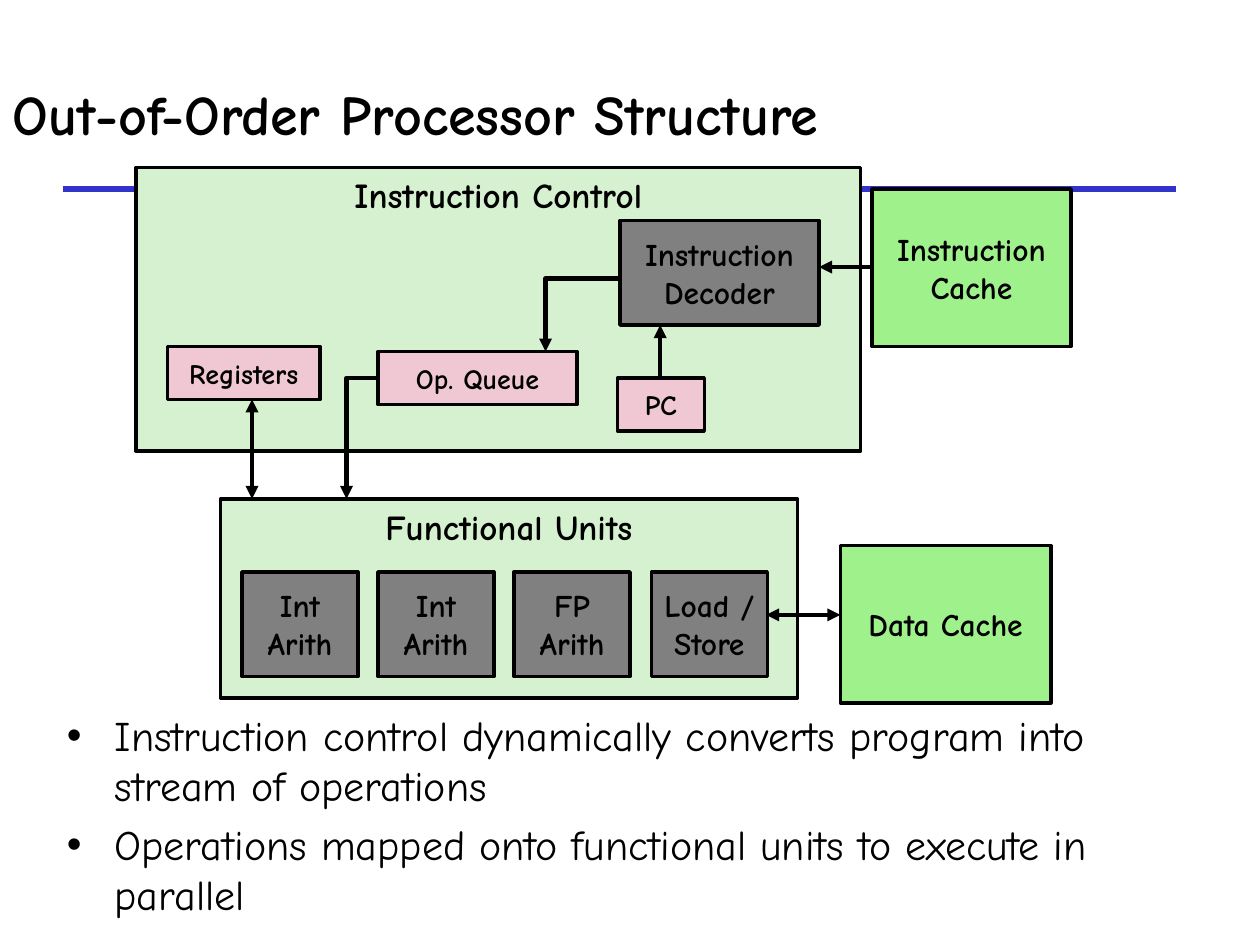
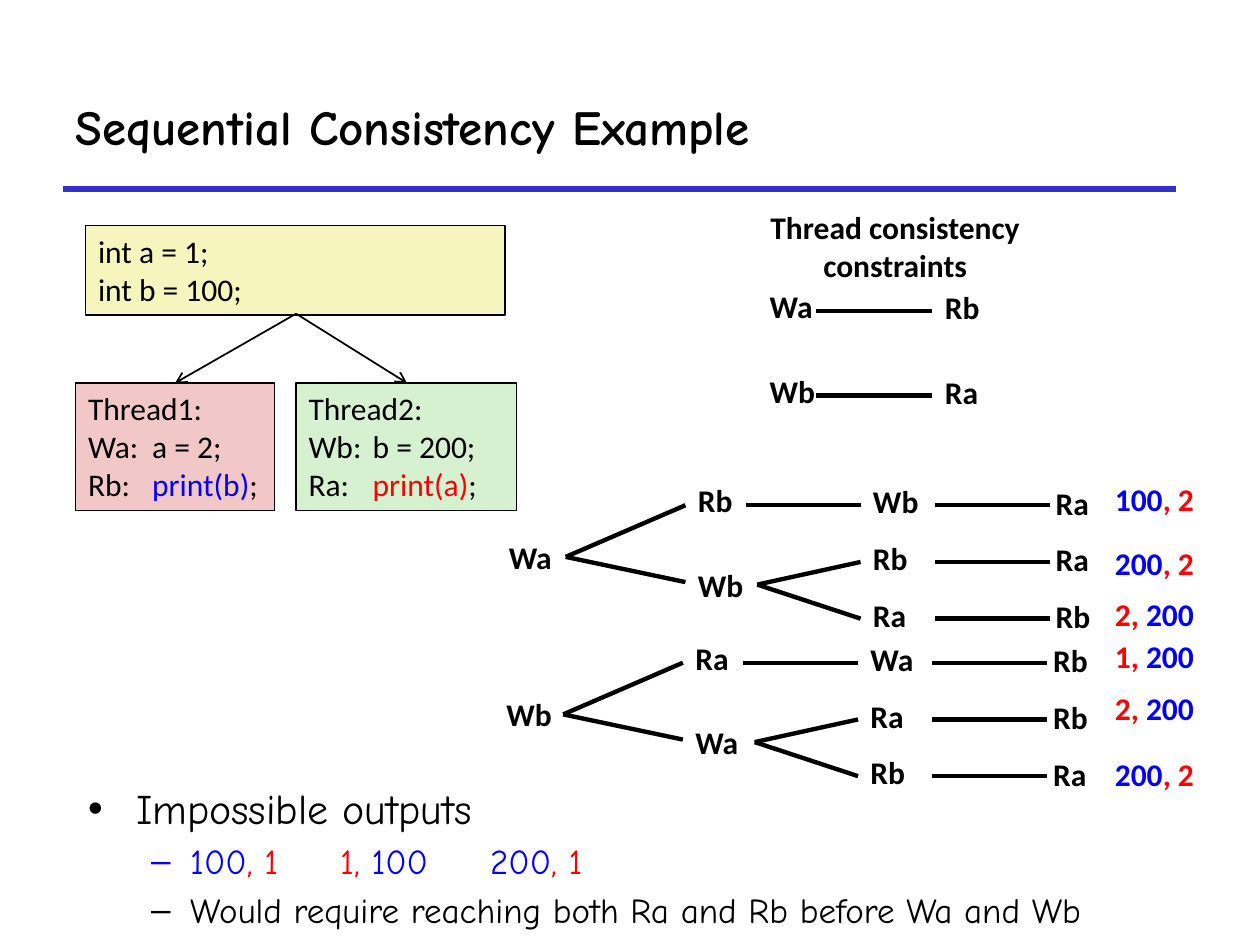
"""Build two lecture slides on processor structure and memory consistency."""
from dataclasses import dataclass
from typing import NamedTuple

from lxml import etree
from pptx import Presentation
from pptx.dml.color import RGBColor
from pptx.enum.shapes import MSO_CONNECTOR, MSO_SHAPE
from pptx.enum.text import MSO_ANCHOR, MSO_AUTO_SIZE, PP_ALIGN
from pptx.oxml.ns import qn
from pptx.util import Pt

RECT = MSO_SHAPE.RECTANGLE
STRAIGHT, ELBOW = MSO_CONNECTOR.STRAIGHT, MSO_CONNECTOR.ELBOW
TOP, MIDDLE = MSO_ANCHOR.TOP, MSO_ANCHOR.MIDDLE
LEFT, CENTER = PP_ALIGN.LEFT, PP_ALIGN.CENTER
NO_FIT, GROW = MSO_AUTO_SIZE.NONE, MSO_AUTO_SIZE.SHAPE_TO_FIT_TEXT

EMU_PER_PX = 9144
COMIC, CALIBRI = "Comic Neue", "Calibri"
BLACK, BLUE, RED, RULE = "000000", "0000FF", "FF0000", "3333CC"
PALE_GREEN, GREEN, GRAY = "D5F1CF", "9EF18B", "808080"
PINK, ROSE, YELLOW = "F0C8D3", "F1C7C7", "F6F5BD"
NODE_W = 62
CODE_TAB = 51
OUTPUT_TABS = (200, 319)


class Run(NamedTuple):
    """A piece of text in one colour."""
    text: str
    color: str = BLACK


Para = list[Run]


@dataclass
class Box:
    """A filled and outlined rectangle with text."""
    x: int
    y: int
    w: int
    h: int
    fill: str
    paras: list[Para]
    size: int = 18
    font: str = COMIC
    bold: bool = True
    weight: float = 2
    anchor: MSO_ANCHOR = MIDDLE
    align: PP_ALIGN = CENTER
    tabs: tuple[int, ...] = ()


@dataclass
class Link:
    """A line between two points with optional arrowheads."""
    x1: int
    y1: int
    x2: int
    y2: int
    head: str = ""
    tail: str = ""
    weight: float = 2.5
    color: str = BLACK
    bent: bool = False


@dataclass
class Bullet:
    """A list paragraph with its level."""
    runs: Para
    level: int = 0
    tabs: tuple[int, ...] = ()


class BulletStyle(NamedTuple):
    """Bullet sign, indents and text size of a list level."""
    char: str
    margin: int
    hang: int
    size: int


BULLET_STYLES = (BulletStyle("•", 38, 38, 24), BulletStyle("–", 81, 31, 20))


def px(n: int) -> int:
    """Turn px into EMU."""
    return n * EMU_PER_PX


def rgb(color: str) -> RGBColor:
    """Turn a hex string into a colour."""
    return RGBColor.from_string(color)


def lines(*texts: str) -> list[Para]:
    """Make one black paragraph of each text."""
    return [[Run(t)] for t in texts]


def add_runs(p, runs: Para, size: int, font: str, bold: bool) -> None:
    """Write coloured runs into a paragraph."""
    fmt = {"size": Pt(size), "name": font, "bold": bold}
    for run in runs:
        r = p.add_run()
        r.text = run.text
        for key, value in fmt.items():
            setattr(r.font, key, value)
        r.font.color.rgb = rgb(run.color)


def add_tabs(p, stops: tuple[int, ...]) -> None:
    """Give a paragraph left tab stops."""
    if stops:
        tab_list = etree.SubElement(p._p.get_or_add_pPr(), qn("a:tabLst"))
        for stop in stops:
            etree.SubElement(tab_list, qn("a:tab"), pos=str(px(stop)), algn="l")


def paragraphs(tf, count: int) -> list:
    """Return the given number of paragraphs of a text frame."""
    return [tf.paragraphs[0]] + [tf.add_paragraph() for _ in range(count - 1)]


def set_frame(tf, wrap: bool, fit: MSO_AUTO_SIZE, anchor: MSO_ANCHOR) -> None:
    """Set wrapping, fitting and anchoring of a text frame."""
    fmt = {"word_wrap": wrap, "auto_size": fit, "vertical_anchor": anchor}
    for key, value in fmt.items():
        setattr(tf, key, value)


def place(sp, x: int, y: int, w: int, h: int) -> None:
    """Move and size a shape."""
    for key, value in {"left": x, "top": y, "width": w, "height": h}.items():
        setattr(sp, key, px(value))


def draw_box(s, box: Box) -> None:
    """Draw a box with its text."""
    sp = s.shapes.add_shape(RECT, *map(px, (box.x, box.y, box.w, box.h)))
    sp.shadow.inherit = False
    sp.fill.solid()
    sp.fill.fore_color.rgb = rgb(box.fill)
    sp.line.color.rgb = rgb(BLACK)
    sp.line.width = Pt(box.weight)
    set_frame(sp.text_frame, True, NO_FIT, box.anchor)
    for p, runs in zip(paragraphs(sp.text_frame, len(box.paras)), box.paras):
        p.alignment = box.align
        add_tabs(p, box.tabs)
        add_runs(p, runs, box.size, box.font, box.bold)


def draw_label(s, x: int, y: int, w: int, paras: list[Para], h: int = 40,
               align: PP_ALIGN = LEFT) -> None:
    """Draw a bold unwrapped label."""
    tf = s.shapes.add_textbox(px(x), px(y), px(w), px(h)).text_frame
    set_frame(tf, False, GROW, TOP)
    for p, runs in zip(paragraphs(tf, len(paras)), paras):
        p.alignment = align
        add_runs(p, runs, 18, CALIBRI, True)


def draw_link(s, link: Link) -> None:
    """Draw a line, elbow or arrow."""
    ends = map(px, (link.x1, link.y1, link.x2, link.y2))
    sp = s.shapes.add_connector(ELBOW if link.bent else STRAIGHT, *ends)
    sp.line.color.rgb = rgb(link.color)
    sp.line.width = Pt(link.weight)
    pr = sp._element.spPr
    if link.bent:
        pr.find(qn("a:prstGeom")).set("prst", "bentConnector2")
        xfrm = pr.find(qn("a:xfrm"))
        xfrm.attrib.pop("flipH", None)
        xfrm.set("rot", "10800000")
        xfrm.set("flipV", "1")
    for tag, kind in (("a:headEnd", link.head), ("a:tailEnd", link.tail)):
        if kind:
            etree.SubElement(sp.line._get_or_add_ln(), qn(tag), type=kind)
    etree.SubElement(pr, qn("a:effectLst"))


def fill_body(s, at: tuple[int, int, int, int], bullets: list[Bullet]) -> None:
    """Write the bulleted list into the body placeholder."""
    sp = s.placeholders[1]
    place(sp, *at)
    set_frame(sp.text_frame, True, NO_FIT, TOP)
    for i, (p, b) in enumerate(zip(paragraphs(sp.text_frame, len(bullets)), bullets)):
        style = BULLET_STYLES[b.level]
        p.level = b.level
        p.space_before = Pt(0.2 * style.size if i else 0)
        pPr = p._p.get_or_add_pPr()
        pPr.set("marL", str(px(style.margin)))
        pPr.set("indent", str(-px(style.hang)))
        etree.SubElement(pPr, qn("a:buChar"), char=style.char)
        add_tabs(p, b.tabs)
        add_runs(p, b.runs, style.size, COMIC, False)


def new_slide(prs, title: str, size: int, at: tuple[int, int, int, int]):
    """Add a slide with its title and rule."""
    s = prs.slides.add_slide(prs.slide_layouts[1])
    sp = s.shapes.title
    place(sp, *at)
    set_frame(sp.text_frame, True, NO_FIT, MIDDLE)
    p = sp.text_frame.paragraphs[0]
    p.alignment = LEFT
    add_runs(p, [Run(title)], size, COMIC, True)
    draw_link(s, Link(50, 150, 933, 150, weight=3, color=RULE))
    return s


def output_runs(text: str) -> Para:
    """Colour a printed pair, the value of b blue and that of a red."""
    first, second = text.split(", ")
    if len(first) == 3:
        return [Run(first, BLUE), Run(", " + second, RED)]
    return [Run(first + ", ", RED), Run(second, BLUE)]


def draw_tree(s, dx: int, dy: int, root: str, mids: tuple[str, str],
              thirds: str, lasts: str) -> None:
    """Draw one tree of the possible interleavings."""
    nodes = [(394, 422, root), (544, 377, mids[0]), (544, 444, mids[1])]
    edges = [(449, 442, 544, 401), (449, 442, 544, 462), (592, 401, 683, 401),
             (601, 464, 683, 446), (601, 464, 683, 491)]
    for i, (third, last) in enumerate(zip(thirds.split(), lasts.split())):
        y = 378 + 45 * i
        nodes += [(683, y, third), (828, y + 1, last)]
        edges.append((742, y + 23, 833, y + 23))
    for x, y, name in nodes:
        draw_label(s, x + dx, y + dy, NODE_W, lines(name))
    for x1, y1, x2, y2 in edges:
        draw_link(s, Link(x1 + dx, y1 + dy, x2 + dx, y2 + dy))


def processor_slide(prs) -> None:
    """Build the processor structure slide."""
    s = new_slide(prs, "Out-of-Order Processor Structure", 32, (0, 48, 1000, 83))
    fill_body(s, (43, 558, 865, 134), [Bullet(runs) for runs in lines(
        "Instruction control dynamically converts program into stream of operations",
        "Operations mapped onto functional units to execute in parallel")])
    units = (("Int", "Arith"), ("Int", "Arith"), ("FP", "Arith"), ("Load /", "Store"))
    boxes = [
        Box(175, 396, 458, 158, PALE_GREEN, lines("Functional Units"), 20, anchor=TOP),
        *(Box(192 + 325 * i // 3, 454, 92, 83, GRAY, lines(*unit))
          for i, unit in enumerate(units)),
        Box(108, 133, 575, 225, PALE_GREEN, lines("Instruction Control"), 20, anchor=TOP),
        Box(133, 275, 121, 42, PINK, lines("Registers"), 16),
        Box(492, 175, 158, 83, GRAY, lines("Instruction Decoder")),
        Box(300, 279, 158, 42, PINK, lines("Op. Queue"), 16),
        Box(490, 300, 69, 42, PINK, lines("PC"), 16),
        Box(667, 433, 167, 125, GREEN, lines("Data Cache")),
        Box(692, 150, 158, 125, GREEN, lines("Instruction", "Cache")),
    ]
    for box in boxes:
        draw_box(s, box)
    tri = "triangle"
    for link in (Link(667, 488, 608, 488, tri, tri),
                 Link(650, 212, 692, 212, tri),
                 Link(300, 300, 275, 396, tail=tri, bent=True),
                 Link(200, 317, 200, 396, tri, tri),
                 Link(492, 221, 433, 279, tail=tri, bent=True),
                 Link(524, 258, 524, 300, tri)):
        draw_link(s, link)


def consistency_slide(prs) -> None:
    """Build the sequential consistency slide."""
    s = new_slide(prs, "Sequential Consistency Example", 28, (50, 50, 883, 100))
    impossible = [*output_runs("100, 1"), Run("\t"), *output_runs("1, 100"),
                  Run("\t"), *output_runs("200, 1")]
    fill_body(s, (60, 616, 940, 84), [
        Bullet([Run("Impossible outputs")]),
        Bullet(impossible, 1, OUTPUT_TABS),
        Bullet([Run("Would require reaching both Ra and Rb before Wa and Wb")], 1)])
    draw_tree(s, 0, 0, "Wa", ("Rb", "Wb"), "Wb Rb Ra", "Ra Ra Rb")
    draw_tree(s, -2, 125, "Wb", ("Ra", "Wa"), "Wa Ra Rb", "Rb Rb Ra")
    outputs = {376: "100, 2", 427: "200, 2", 467: "2, 200",
               501: "1, 200", 542: "2, 200", 594: "200, 2"}
    for y, text in outputs.items():
        draw_label(s, 875, y, 84, [output_runs(text)])
    draw_label(s, 601, 160, 219, lines("Thread consistency", "constraints"), 71, CENTER)
    for y, before, after in ((223, "Wa", "Rb"), (290, "Wb", "Ra")):
        draw_label(s, 601, y, NODE_W, lines(before))
        draw_label(s, 740, y + 1, NODE_W, lines(after))
        draw_link(s, Link(648, y + 24, 740, y + 24))
    code = {"font": CALIBRI, "bold": False, "weight": 0.75, "anchor": TOP,
            "align": LEFT, "tabs": (CODE_TAB,)}
    thread1 = [*lines("Thread1:", "Wa:\ta = 2;"),
               [Run("Rb:\t"), Run("print(b)", BLUE), Run(";")]]
    thread2 = [*lines("Thread2:", "Wb:\tb = 200;"),
               [Run("Ra:\t"), Run("print(a)", RED), Run(";")]]
    draw_box(s, Box(68, 179, 333, 71, YELLOW, lines("int a = 1;", "int b = 100;"), **code))
    draw_box(s, Box(60, 304, 158, 101, ROSE, thread1, **code))
    draw_box(s, Box(235, 304, 175, 101, PALE_GREEN, thread2, **code))
    for x in (139, 323):
        draw_link(s, Link(235, 249, x, 304, tail="arrow", weight=1))


def main() -> None:
    """Build and save the presentation."""
    prs = Presentation()
    prs.slide_width, prs.slide_height = px(1000), px(750)
    processor_slide(prs)
    consistency_slide(prs)
    prs.save("out.pptx")


if __name__ == "__main__":
    main()
